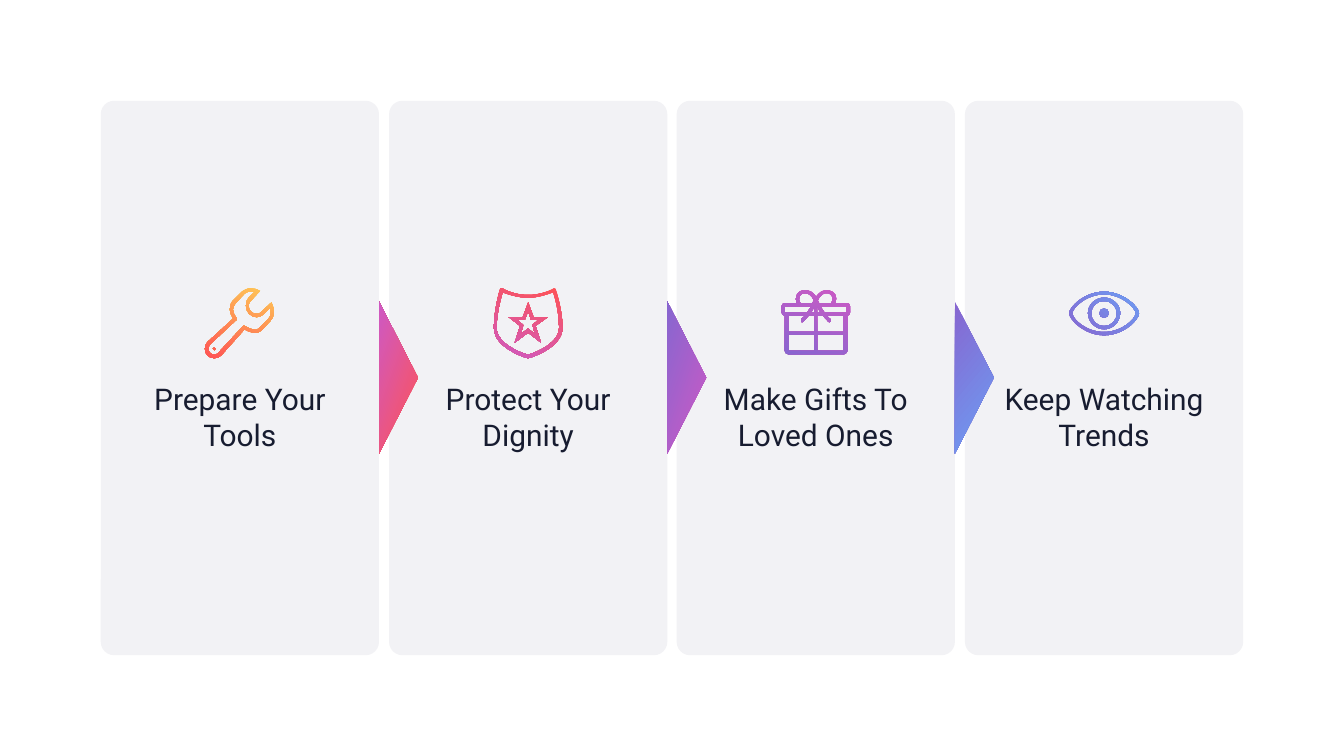
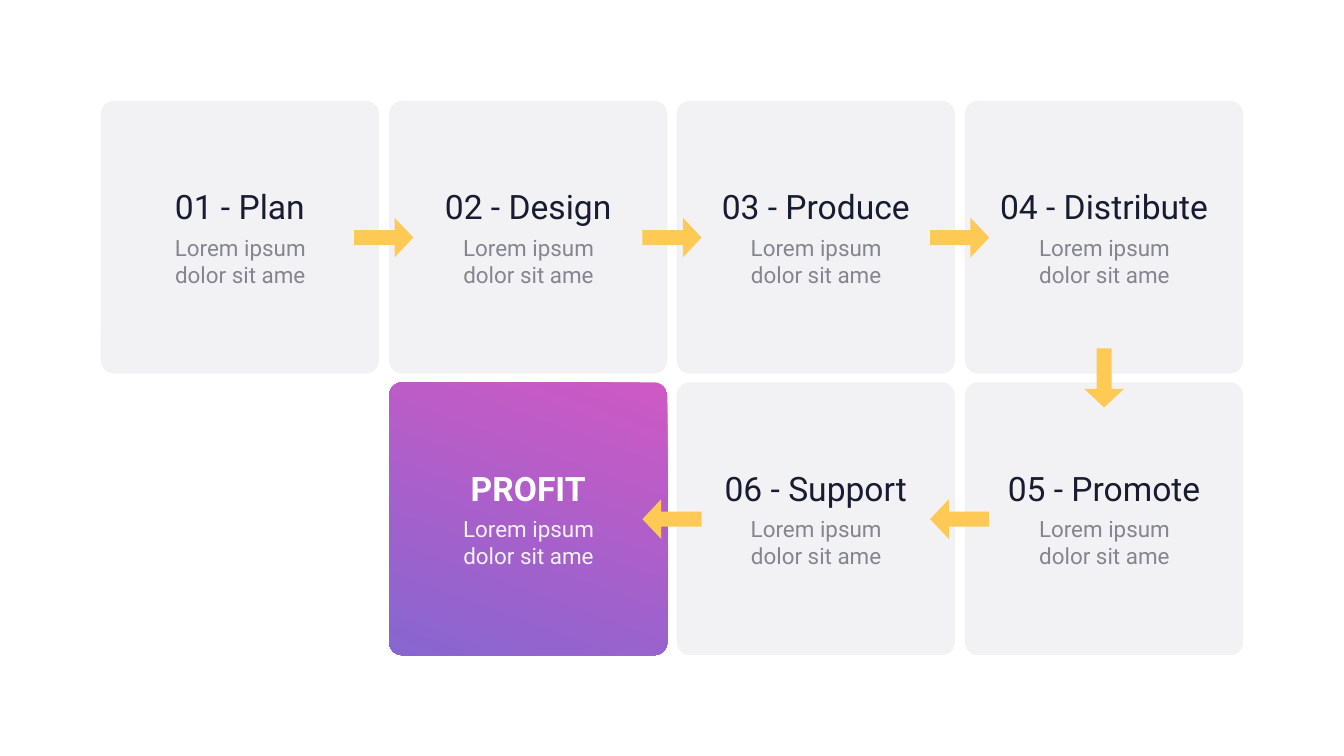
from dataclasses import dataclass
from itertools import pairwise
from math import atan2, degrees
from typing import NamedTuple

from pptx import Presentation
from pptx.dml.color import RGBColor
from pptx.enum import shapes, text
from pptx.oxml import ns, xmlchemy as xml
from pptx.util import Emu, Pt

SCALE = 9144


class Blend(NamedTuple):
    start: str
    end: str
    angle: int = 110


class Box(NamedTuple):
    left: int
    top: int
    width: int
    height: int

    @property
    def mid(self) -> tuple[int, int]:
        return self.left + self.width // 2, self.top + self.height // 2

    def inset(self, left: int, top: int, width: int, height: int) -> "Box":
        return Box(self.left + left, self.top + top, width, height)


class Style(NamedTuple):
    size: int
    color: str
    bold: bool = False


@dataclass(frozen=True)
class Theme:
    font: str = "Roboto"
    card: str = "F2F2F5"
    arrow: str = "FFC955"
    label: Style = Style(32, "171C30")
    head: Style = Style(36, "171C30")
    body: Style = Style(24, "858591")
    goal: Style = Style(36, "FFFFFF", True)
    note: Style = Style(24, "F2F2F2")
    sun: Blend = Blend("FFC955", "FF5355")
    rose: Blend = Blend("FF5355", "CE59C4")
    plum: Blend = Blend("CE59C4", "8766D0")
    sky: Blend = Blend("8766D0", "6C9FF4", 310)


THEME = Theme()
Fill = str | Blend
Point = tuple[int, int]


@dataclass(frozen=True)
class Icon:
    left: int
    top: int
    lines: tuple[str, ...]
    twins: tuple[str, ...] = ()
    width: int = 102


@dataclass(frozen=True)
class Stage:
    label: str
    blend: Blend
    icon: Icon


@dataclass(frozen=True)
class Step:
    title: str
    col: int
    row: int
    fill: Fill = THEME.card
    head: Style = THEME.head
    body: Style = THEME.body


WRENCH = Icon(155, 279, (
    "M 99 21 L 85 34 C 83 37 80 38 77 38 C 70 38 65 33 65 26 C 65 23 66 20 69 18 "
    "L 65 14 C 62 17 61 21 61 26 C 61 35 68 43 77 43 C 81 43 85 41 88 38 L 97 29 "
    "C 99 36 98 42 94 46 L 81 59 C 80 60 77 62 75 62 C 75 62 67 61 59 56 "
    "C 58 55 57 56 56 57 L 20 96 C 19 98 16 99 14 99 C 9 99 5 95 5 90 "
    "C 5 88 6 85 8 83 L 47 47 C 48 46 48 45 47 44 C 40 35 40 28 46 22 L 58 9 "
    "C 62 5 66 5 69 5 C 70 5 72 5 74 5 L 65 14 L 69 18 L 82 4 C 77 1 73 0 69 0 "
    "C 63 0 59 2 55 5 L 42 18 C 34 27 37 37 42 45 L 4 80 C 2 82 0 86 0 90 "
    "C 0 98 6 104 14 104 C 18 104 22 102 24 100 L 59 61 C 66 66 74 66 75 66 "
    "C 79 66 82 65 85 62 L 97 49 C 104 43 104 31 99 21",
    "M 12 90 C 12 91 13 92 14 92 C 15 92 16 91 16 90 C 16 89 15 88 14 88 C 13 88 12 89 12 90",
))
SHIELD = Icon(156, 279, (
    "M 92 2 L 91 0 L 89 0 C 89 1 71 10 51 10 C 30 10 13 1 13 0 L 10 0 L 9 2 "
    "C 9 2 0 31 0 59 C 0 89 48 104 51 104 C 53 104 102 89 102 59 C 102 31 92 2 92 2",
    "M 51 99 C 46 98 4 84 4 59 C 4 36 11 14 13 6 C 19 8 34 14 51 14 "
    "C 67 14 82 8 88 6 C 91 14 97 36 97 59 C 97 84 55 98 51 99",
    "M 59 43 L 51 21 L 43 43 L 22 43 L 39 56 L 31 81 L 51 66 L 70 81 L 62 56 L 80 43",
    "M 58 57 L 61 68 L 51 60 L 40 68 L 43 57 L 44 55 L 35 47 L 46 47 "
    "L 51 34 L 55 47 L 66 47 L 57 55",
))
GIFT = Icon(156, 279, (
    "M 98 22 L 80 22 C 82 18 82 13 80 9 C 76 3 66 0 59 5 C 56 7 54 9 52 12 L 51 12 "
    "C 49 9 47 7 44 5 C 36 0 26 3 23 9 C 21 13 21 18 22 22 L 5 22 C 3 22 0 24 0 27 "
    "L 0 36 C 0 38 3 41 5 41 L 5 93 C 5 95 7 98 10 98 L 93 98 C 95 98 98 95 98 93 "
    "L 98 41 C 100 41 102 38 102 36 L 102 27 C 102 24 100 22 98 22",
), (
    "M 27 12 C 29 7 36 6 41 9 C 45 12 47 15 48 18 C 47 19 47 21 46 22 L 28 22 C 26 19 25 15 27 12",
    "M 5 36 L 5 27 L 44 27 C 42 30 40 33 38 36",
    "M 10 69 L 49 69 L 49 93 L 10 93",
    "M 49 65 L 10 65 L 10 41 L 35 41 C 31 44 29 46 29 46 C 28 47 28 49 29 50 "
    "C 30 51 32 50 32 50 C 32 50 36 46 40 41 L 49 41",
    "M 49 36 L 44 36 C 46 34 47 31 49 27",
))
EYE = Icon(155, 284, (
    "M 52 0 C 23 0 0 23 0 32 C 0 42 23 65 52 65 C 81 65 104 42 104 32 C 104 23 81 0 52 0",
    "M 52 60 C 26 60 5 41 5 32 C 5 24 26 4 52 4 C 78 4 99 24 99 32 C 99 41 78 60 52 60",
    "M 52 9 C 39 9 28 19 28 32 C 28 45 39 56 52 56 C 65 56 76 45 76 32 C 76 19 65 9 52 9",
    "M 52 51 C 41 51 33 43 33 32 C 33 22 41 14 52 14 C 63 14 71 22 71 32 C 71 43 63 51 52 51",
    "M 52 25 C 48 25 45 28 45 32 C 45 36 48 39 52 39 C 56 39 59 36 59 32 C 59 28 56 25 52 25",
))

STAGES = (
    Stage("Prepare Your Tools", THEME.sun, WRENCH),
    Stage("Protect Your Dignity", THEME.rose, SHIELD),
    Stage("Make Gifts To Loved Ones", THEME.plum, GIFT),
    Stage("Keep Watching Trends", THEME.sky, EYE),
)
STEPS = (
    Step("01 - Plan", 0, 0),
    Step("02 - Design", 1, 0),
    Step("03 - Produce", 2, 0),
    Step("04 - Distribute", 3, 0),
    Step("05 - Promote", 3, 1),
    Step("06 - Support", 2, 1),
    Step("PROFIT", 1, 1, THEME.plum, THEME.goal, THEME.note),
)


def px(value: int) -> Emu:
    return Emu(value * SCALE)


def cell(col: int, row: int, height: int) -> Box:
    return Box(150 + round(col * 1286 / 3), 150 + row * 419, 414, height)


def paint(shape, fill: Fill) -> None:
    shape.shadow.inherit = False
    shape.line.fill.background()
    if isinstance(fill, str):
        shape.fill.solid()
        shape.fill.fore_color.rgb = RGBColor.from_string(fill)
        return
    shape.fill.gradient()
    shape.fill.gradient_angle = 360 - fill.angle
    for stop, tone in zip(shape.fill.gradient_stops, (fill.start, fill.end)):
        stop.color.rgb = RGBColor.from_string(tone)


def draw(slide, kind, box: Box, fill: Fill, tweaks: tuple[float, ...] = (), turn: float = 0) -> None:
    shape = slide.shapes.add_shape(kind, *map(px, box))
    for index, value in enumerate(tweaks):
        shape.adjustments[index] = value
    shape.rotation = turn
    paint(shape, fill)


def card(slide, box: Box, fill: Fill = THEME.card) -> None:
    draw(slide, shapes.MSO_SHAPE.ROUNDED_RECTANGLE, box, fill, (0.048,))


def write(slide, box: Box, words: str, style: Style) -> None:
    frame = slide.shapes.add_textbox(*map(px, box)).text_frame
    frame.word_wrap = True
    frame.auto_size = text.MSO_AUTO_SIZE.SHAPE_TO_FIT_TEXT
    frame.text = words
    line = frame.paragraphs[0]
    line.alignment = text.PP_ALIGN.CENTER
    font = line.runs[0].font
    font.name, font.size, font.bold = THEME.font, Pt(style.size), style.bold
    font.color.rgb = RGBColor.from_string(style.color)


def trace(line: str) -> list[Point]:
    values = [int(mark) for mark in line.split() if mark.isdigit()]
    return list(zip(values[::2], values[1::2]))


def bend(shape, lines: tuple[str, ...]) -> None:
    sides = iter(list(shape.element.iter(ns.qn("a:lnTo"))))
    for mark in "".join(lines):
        if mark == "L":
            next(sides)
        elif mark == "C":
            trio = [next(sides) for _ in range(3)]
            curve = xml.OxmlElement("a:cubicBezTo")
            trio[0].addprevious(curve)
            for side in trio:
                curve.append(side[0])
                side.getparent().remove(side)


def sketch(slide, icon: Icon, box: Box, blend: Blend) -> None:
    twins = [trace(line) for line in icon.twins]
    flips = [[(icon.width - x, y) for x, y in loop] for loop in twins]
    pen = None
    for loop in [*map(trace, icon.lines), *twins, *flips]:
        spots = [(px(box.left + icon.left + x), px(box.top + icon.top + y)) for x, y in loop]
        if pen is None:
            pen = slide.shapes.build_freeform(*spots[0], scale=1.0)
        else:
            pen.move_to(*spots[0])
        pen.add_line_segments(spots[1:], close=True)
    shape = pen.convert_to_shape()
    bend(shape, icon.lines + icon.twins * 2)
    paint(shape, blend)


def show_stages(slide) -> None:
    boxes = [cell(col, 0, 825) for col in range(len(STAGES))]
    for box in boxes:
        card(slide, box)
    for box, stage in zip(boxes, STAGES[1:]):
        wedge = box.inset(330, 383, 226, 58)
        draw(slide, shapes.MSO_SHAPE.ISOSCELES_TRIANGLE, wedge, stage.blend, turn=90)
    for box, stage in zip(boxes, STAGES):
        write(slide, box.inset(34, 411, 346, 118), stage.label, THEME.label)
        sketch(slide, stage.icon, box, stage.blend)


def show_steps(slide) -> None:
    boxes = [cell(step.col, step.row, 406) for step in STEPS]
    for box, step in zip(boxes, STEPS):
        card(slide, box, step.fill)
    for here, there in pairwise(boxes):
        (x1, y1), (x2, y2) = here.mid, there.mid
        arrow = Box((x1 + x2) // 2 - 44, (y1 + y2) // 2 - 29, 88, 59)
        turn = degrees(atan2(y2 - y1, x2 - x1))
        draw(slide, shapes.MSO_SHAPE.RIGHT_ARROW, arrow, THEME.arrow, (0.378, 0.471), turn)
    for box, step in zip(boxes, STEPS):
        write(slide, box.inset(10, 122, 394, 71), step.title, step.head)
        write(slide, box.inset(62, 193, 291, 91), "Lorem ipsum dolor sit ame", step.body)


def main() -> None:
    deck = Presentation()
    deck.slide_width, deck.slide_height = px(2000), px(1125)
    for show in (show_stages, show_steps):
        show(deck.slides.add_slide(deck.slide_layouts[6]))
    deck.save("out.pptx")


if __name__ == "__main__":
    main()
